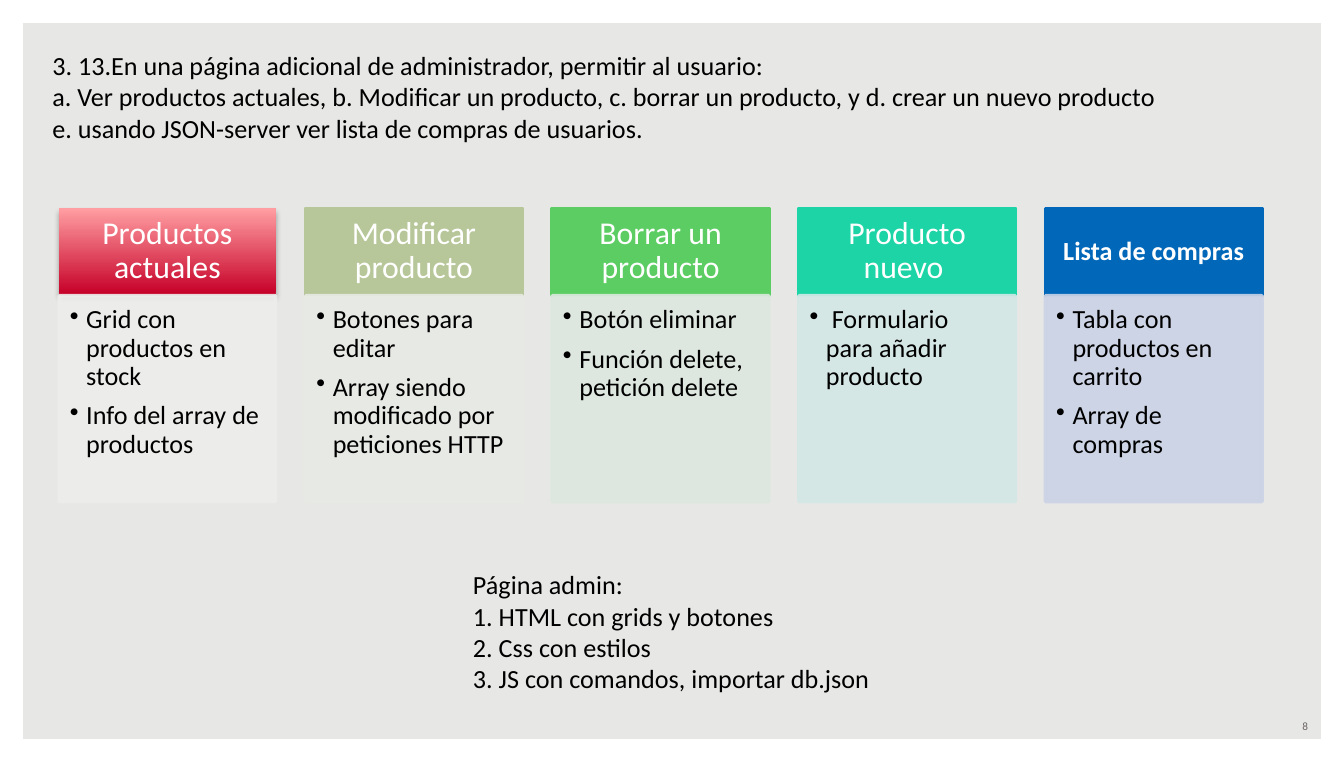
"""Builds the admin page slide with five feature columns."""
from lxml import etree
from pptx import Presentation
from pptx.dml.color import RGBColor
from pptx.enum.shapes import MSO_SHAPE
from pptx.enum.text import MSO_ANCHOR, MSO_AUTO_SIZE, PP_ALIGN
from pptx.oxml.ns import qn
from pptx.util import Cm, Pt

RECTANGLE, FRAME = MSO_SHAPE.RECTANGLE, MSO_SHAPE.FRAME
TOP, MIDDLE = MSO_ANCHOR.TOP, MSO_ANCHOR.MIDDLE
GROW = MSO_AUTO_SIZE.SHAPE_TO_FIT_TEXT
LEFT, CENTER, RIGHT = PP_ALIGN.LEFT, PP_ALIGN.CENTER, PP_ALIGN.RIGHT


def rgb(color):
    return RGBColor.from_string(color)


def write(shape, lines, frame_format, paragraph_format, font_format, color):
    frame = shape.text_frame
    frame.text = "\n".join(lines)
    for key, value in {"word_wrap": True, **frame_format}.items():
        setattr(frame, key, value)
    for paragraph in frame.paragraphs:
        for key, value in paragraph_format.items():
            setattr(paragraph, key, value)
        for key, value in {"name": "Calibri", **font_format}.items():
            setattr(paragraph.font, key, value)
        paragraph.font.color.rgb = rgb(color)


deck = Presentation()
deck.slide_width, deck.slide_height = Cm(25.4), Cm(14.4)
slide = deck.slides.add_slide(deck.slide_layouts[6])
slide.background.fill.solid()
slide.background.fill.fore_color.rgb = rgb("E7E7E5")

border = slide.shapes.add_shape(FRAME, 0, 0, deck.slide_width, deck.slide_height)
border.adjustments[0] = 0.03
border.shadow.inherit = False
border.fill.solid()
border.fill.fore_color.rgb = rgb("FFFFFF")
border.line.fill.background()

features = [
    ("Productos actuales", "C60028", "EDEDEB",
     ["Grid con productos en stock", "Info del array de productos"]),
    ("Modificar producto", "B7C799", "E8EAE4",
     ["Botones para editar", "Array siendo modificado por peticiones HTTP"]),
    ("Borrar un producto", "5CCD62", "DDE8DF",
     ["Botón eliminar", "Función delete, petición delete"]),
    ("Producto nuevo ", "1CD4A6", "D4E7E6",
     [" Formulario para añadir producto"]),
    ("Lista de compras", "0067B9", "CBD3E6",
     ["Tabla con productos en carrito", "Array de compras"]),
]
heading_frame = {"vertical_anchor": MIDDLE, "margin_left": Cm(0.33), "margin_right": Cm(0.33),
                 "margin_top": Cm(0.2), "margin_bottom": Cm(0.2)}
detail_frame = {"vertical_anchor": TOP, "margin_left": Cm(0.2), "margin_right": Cm(0.28),
                "margin_top": Cm(0.2), "margin_bottom": Cm(0.3)}
spacing = {"line_spacing": 0.9, "space_after": Pt(6)}
heading_font = {"size": Pt(17)}
last_heading_frame = {"margin_left": Cm(0.28), "margin_right": Cm(0.28),
                      "margin_top": Cm(0.15), "margin_bottom": Cm(0.15)}

for column, (title, strong, pale, details) in enumerate(features):
    left = Cm(1.12 + 4.66 * column)
    heading = slide.shapes.add_shape(RECTANGLE, left, Cm(3.94), Cm(4.09), Cm(1.63))
    detail = slide.shapes.add_shape(RECTANGLE, left, Cm(5.59), Cm(4.09), Cm(3.89))
    for panel, color in ((heading, strong), (detail, pale)):
        panel.shadow.inherit = False
        panel.fill.solid()
        panel.fill.fore_color.rgb = rgb(color)
        panel.line.color.rgb = rgb(color)
        panel.line.width = Pt(2)

    if column == 0:
        heading.line.fill.background()
        heading.fill.gradient()
        heading.fill.gradient_angle = 90
        for stop, color in zip(heading.fill.gradient_stops, (strong, "FF9EA2")):
            stop.color.rgb = rgb(color)
        effects = heading._element.spPr.find(qn("a:effectLst"))
        shadow = etree.SubElement(effects, qn("a:outerShdw"), blurRad=str(Pt(3.1)),
                                  dist=str(Pt(1.8)), dir="5400000", rotWithShape="0")
        shade = etree.SubElement(shadow, qn("a:srgbClr"), val="000000")
        etree.SubElement(shade, qn("a:alpha"), val="35000")
    if column == len(features) - 1:
        heading_frame.update(last_heading_frame)
        heading_font = {"size": Pt(14), "bold": True}

    write(heading, [title], heading_frame, {"alignment": CENTER, **spacing},
          heading_font, "FFFFFF")
    write(detail, details, detail_frame, {"alignment": LEFT, "level": 1, **spacing},
          {"size": Pt(14)}, "000000")
    for tint in detail._element.spPr.iter(qn("a:srgbClr")):
        etree.SubElement(tint, qn("a:alpha"), val="90000")
    for paragraph in detail.text_frame.paragraphs:
        properties = paragraph._p.get_or_add_pPr()
        properties.set("marL", str(Cm(0.31)))
        properties.set("indent", str(Cm(-0.31)))
        bullet = etree.Element(qn("a:buChar"), char="•")
        properties.find(qn("a:spcAft")).addnext(bullet)

notes = [
    ((0.74, 0.81, 23.57, 2.06), TOP, LEFT, 14, "000000",
     ["3. 13.En una página adicional de administrador, permitir al usuario:",
      "a. Ver productos actuales, b. Modificar un producto, c. borrar un producto, "
      "y d. crear un nuevo producto",
      "e. usando JSON-server ver lista de compras de usuarios."]),
    ((8.69, 10.62, 8.03, 2.64), TOP, LEFT, 14, "000000",
     ["Página admin:", "1. HTML con grids y botones", "2. Css con estilos",
      "3. JS con comandos, importar db.json"]),
    ((19.05, 13.46, 5.92, 0.51), MIDDLE, RIGHT, 6, "6C6463", ["8"]),
]
for place, anchor, alignment, size, color, lines in notes:
    note = slide.shapes.add_textbox(*map(Cm, place))
    write(note, lines, {"vertical_anchor": anchor, "auto_size": GROW},
          {"alignment": alignment}, {"size": Pt(size)}, color)

deck.save("out.pptx")
